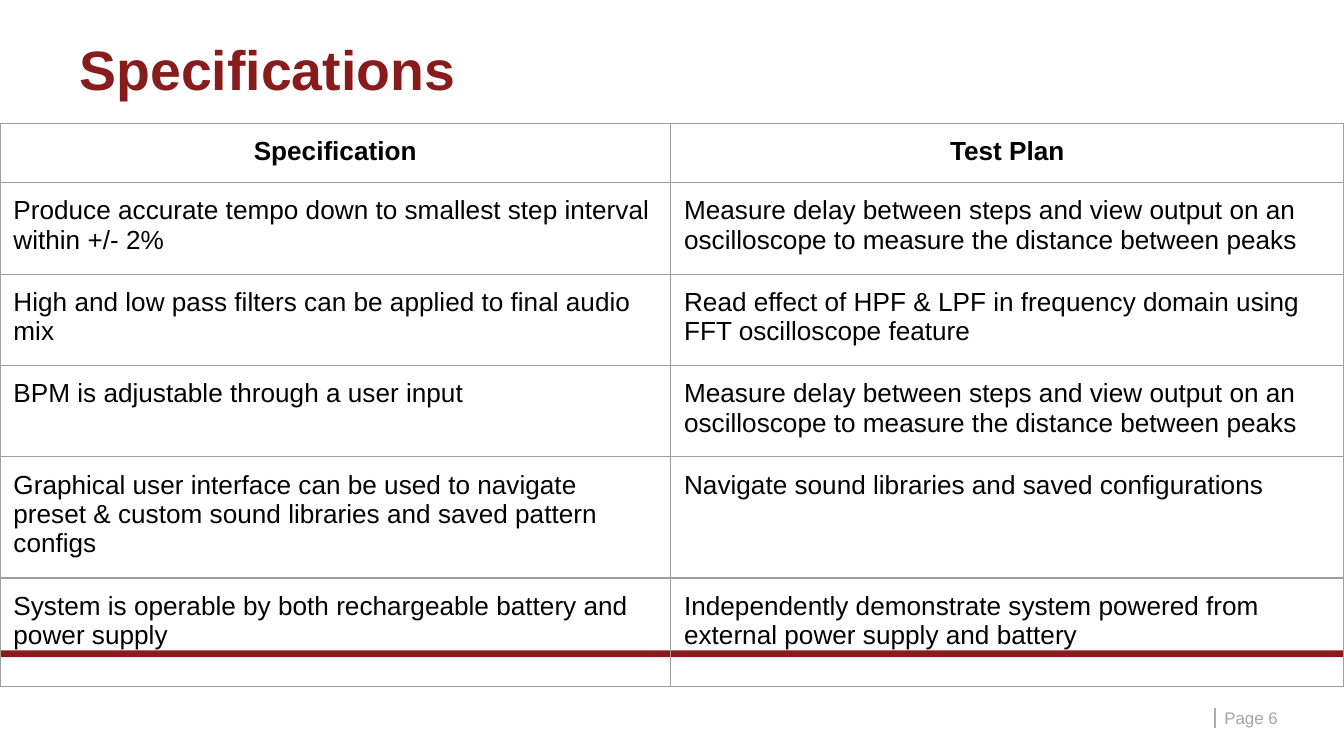
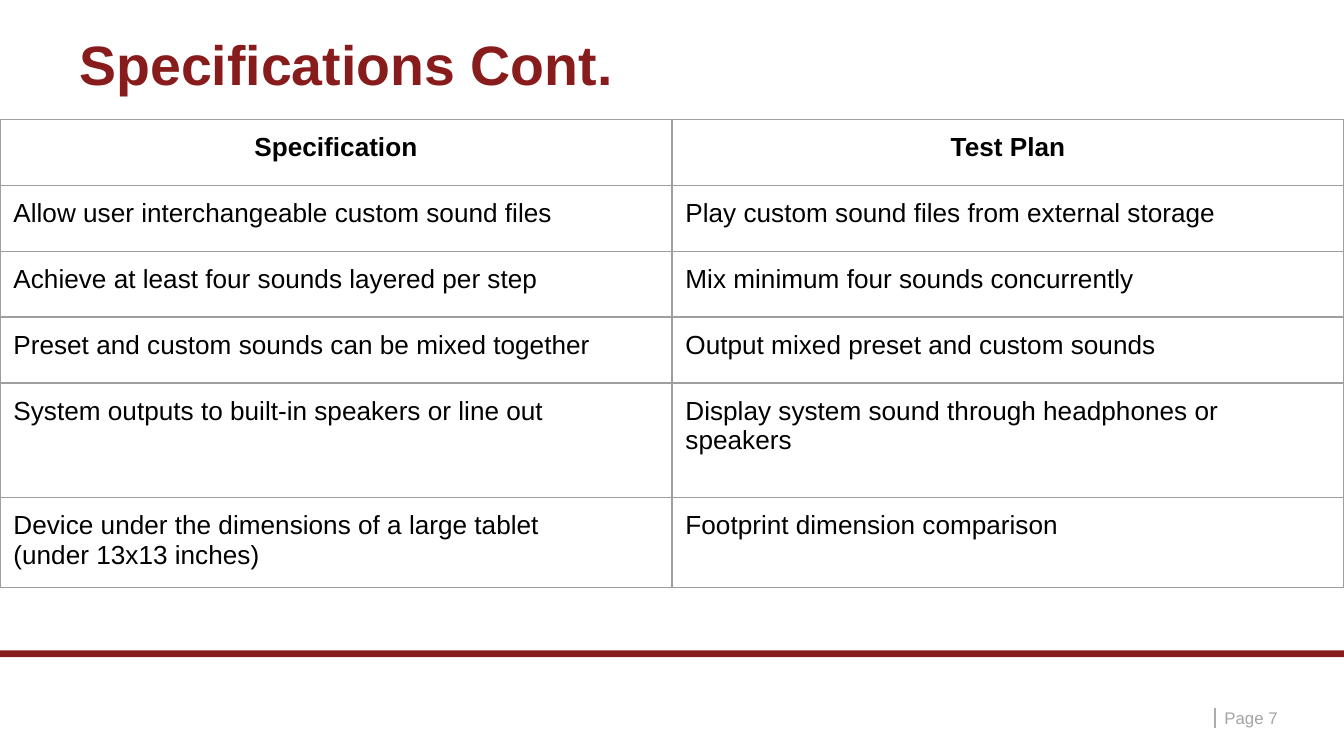
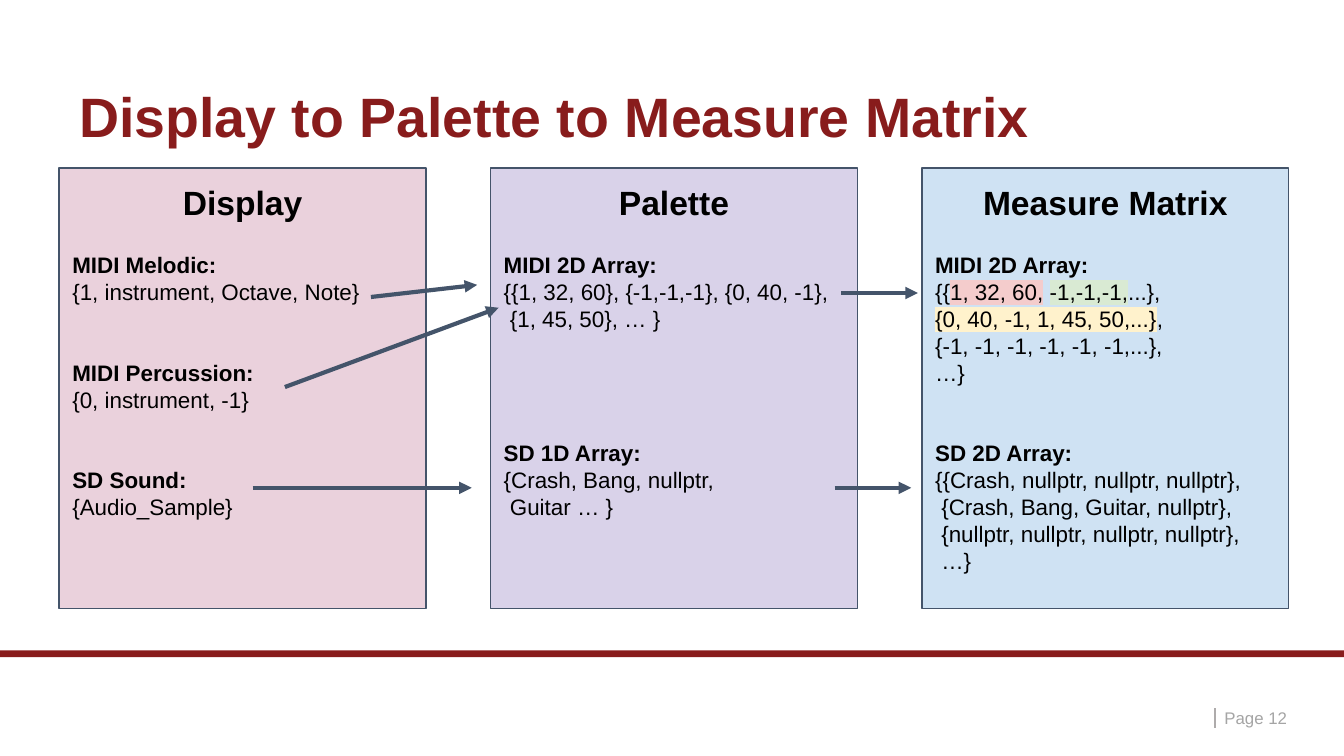
from dataclasses import dataclass

from lxml.etree import SubElement as Sub
from pptx import Presentation
from pptx.dml.color import RGBColor as Rgb
from pptx.enum.shapes import MSO_CONNECTOR as Link, MSO_SHAPE as Form
from pptx.enum.text import MSO_ANCHOR as Anchor, PP_ALIGN as Align
from pptx.oxml.ns import qn
from pptx.util import Emu, Inches, Pt


@dataclass(frozen=True)
class Theme:
    """Colours, type sizes and line widths."""
    font: str = "Arial"
    red: str = "881C1C"
    ink: str = "000000"
    rule: str = "AEABAB"
    page: str = "A5A5A5"
    grid: str = "9E9E9E"
    slate: str = "44546A"
    pink: str = "EAD1DC"
    mauve: str = "D9D2E9"
    sky: str = "CFE2F3"
    rose: str = "F4CCCC"
    mint: str = "D9EAD3"
    cream: str = "FFF2CC"
    title: float = 29.7
    head: float = 18
    cell: float = 14
    body: float = 12
    foot: float = 9
    lead: float = 14.4
    thin: float = 0.75
    mark: float = 1.25
    bold: float = 2.25


@dataclass(frozen=True)
class Box:
    """An area on a grid of 100 columns, each a tenth of an inch."""
    x: float
    y: float
    w: float
    h: float

    def inner(self, x, y, w, h):
        """Return a box placed from this box's corner."""
        return Box(self.x + x, self.y + y, w, h)

    def area(self):
        """Return left, top, width and height as lengths."""
        return [unit(v) for v in (self.x, self.y, self.w, self.h)]


T = Theme()
PAGE = Box(0, 0, 100, 56.25)
INSET = dict(zip(("margin_left", "margin_top", "margin_right", "margin_bottom"),
                 (Inches(0.1),) * 4))
SLIM = dict(INSET, margin_left=Inches(0.07), margin_right=Inches(0.07),
            margin_top=Inches(0.04), margin_bottom=Inches(0.04))


def unit(n):
    """Turn grid units into a length."""
    return Emu(round(n * Inches(0.1)))


def put(obj, fmt):
    """Set each attribute in a dict of format values."""
    for key, val in fmt.items():
        setattr(obj, key, val)


def write(par, runs, size, tone=T.ink, bold=False, **fmt):
    """Write runs of text, or of text with a highlight, in a paragraph."""
    put(par, fmt)
    for text, glow in [(runs, None)] if isinstance(runs, str) else runs:
        run = par.add_run()
        run.text = text
        put(run.font, {"name": T.font, "size": Pt(size), "bold": bold})
        run.font.color.rgb = Rgb.from_string(tone)
        if glow:
            props = run.font._element
            high = Sub(props, qn("a:highlight"))
            Sub(high, qn("a:srgbClr"), val=glow)
            props.find(qn("a:solidFill")).addnext(high)


def label(slide, box, text, size, tone, **fmt):
    """Add one line of text, centred in height."""
    frame = slide.shapes.add_textbox(*box.area()).text_frame
    put(frame, dict(SLIM, word_wrap=True, vertical_anchor=Anchor.MIDDLE))
    write(frame.paragraphs[0], text, size, tone, **fmt)


def block(slide, box, tone):
    """Add a plain filled rectangle."""
    shape = slide.shapes.add_shape(Form.RECTANGLE, *box.area())
    shape.shadow.inherit = False
    shape.fill.solid()
    shape.fill.fore_color.rgb = Rgb.from_string(tone)
    shape.line.fill.background()
    return shape


def stroke(line, tone, width):
    """Colour a line and set its width."""
    line.color.rgb = Rgb.from_string(tone)
    line.width = Pt(width)


def wire(slide, box, ends, tone, width, tip=False):
    """Draw a straight line inside a box, with an arrowhead if asked."""
    x, y, to_x, to_y = ends
    spots = box.x + x, box.y + y, box.x + to_x, box.y + to_y
    line = slide.shapes.add_connector(Link.STRAIGHT, *map(unit, spots))
    stroke(line.line, tone, width)
    props = line._element.spPr
    if tip:
        Sub(props.find(qn("a:ln")), qn("a:tailEnd"), type="triangle")
    Sub(props, qn("a:effectLst"))


def start(deck, title, top, number):
    """Add a slide with its band, title and page mark."""
    slide = deck.slides.add_slide(deck.slide_layouts[6])
    block(slide, PAGE.inner(0, 48.4, PAGE.w, 0.5), T.red)
    label(slide, PAGE.inner(5.2, top, 89.8, 5.6), title, T.title, T.red,
          bold=True, line_spacing=0.9)
    foot = PAGE.inner(90.4, 52.7, 7.9, 1.4)
    wire(slide, foot, (0, 0, 0, 1.5), T.rule, T.mark)
    label(slide, foot, f"Page {number}", T.foot, T.page)
    return slide


def edge(cell):
    """Draw the four borders of a cell and clear its fill."""
    props = cell._tc.get_or_add_tcPr()
    for side in "LRTB":
        line = Sub(props, qn(f"a:ln{side}"), w=str(Pt(T.thin)))
        Sub(Sub(line, qn("a:solidFill")), qn("a:srgbClr"), val=T.grid)
    cell.fill.background()


def plan(slide, box, cols, rows, pairs):
    """Add the table of specifications and test plans."""
    data = [("Specification", "Test Plan"), *pairs]
    table = slide.shapes.add_table(len(data), len(cols), *box.area()).table
    put(table, {"first_row": False, "horz_banding": False})
    for col, wide in zip(table.columns, cols):
        col.width = unit(wide)
    for r, (row, high) in enumerate(zip(table.rows, rows)):
        row.height = unit(high)
        for cell, text in zip(row.cells, data[r]):
            edge(cell)
            put(cell, dict(INSET, vertical_anchor=Anchor.TOP))
            for i, line in enumerate(text.split("\n")):
                frame = cell.text_frame
                par = frame.add_paragraph() if i else frame.paragraphs[0]
                write(par, line, T.cell, bold=r == 0,
                      alignment=Align.LEFT if r else Align.CENTER)


def panel(slide, box, tone, title, groups):
    """Add a stage: a title, then bold heads with lines of code."""
    shape = block(slide, box, tone)
    stroke(shape.line, T.slate, T.thin)
    frame = shape.text_frame
    put(frame, dict(INSET, word_wrap=True, vertical_anchor=Anchor.TOP))
    write(frame.paragraphs[0], title, T.head, bold=True, alignment=Align.CENTER)
    for gap, head, lines in groups:
        write(frame.add_paragraph(), head, T.body, bold=True,
              alignment=Align.LEFT, space_before=Pt(gap * T.lead))
        for line in lines:
            write(frame.add_paragraph(), line, T.body, alignment=Align.LEFT)


def flow(slide, box, stages, ties):
    """Set the stages side by side and join them with arrows."""
    wide, gap = 27.3, 4.8
    for i, stage in enumerate(stages):
        panel(slide, box.inner(i * (wide + gap), 0, wide, box.h), *stage)
    for ends in ties:
        wire(slide, box, ends, T.slate, T.bold, tip=True)


DELAY = ("Measure delay between steps and view output on an oscilloscope "
         "to measure the distance between peaks")
FIRST = [
    ("Produce accurate tempo down to smallest step interval within +/- 2%", DELAY),
    ("High and low pass filters can be applied to final audio mix",
     "Read effect of HPF & LPF in frequency domain using FFT oscilloscope feature"),
    ("BPM is adjustable through a user input", DELAY),
    ("Graphical user interface can be used to navigate preset & custom sound "
     "libraries and saved pattern configs",
     "Navigate sound libraries and saved configurations"),
    ("System is operable by both rechargeable battery and power supply",
     "Independently demonstrate system powered from external power supply and battery"),
]
NEXT = [
    ("Allow user interchangeable custom sound files",
     "Play custom sound files from external storage"),
    ("Achieve at least four sounds layered per step",
     "Mix minimum four sounds concurrently"),
    ("Preset and custom sounds can be mixed together",
     "Output mixed preset and custom sounds"),
    ("System outputs to built-in speakers or line out",
     "Display system sound through headphones or speakers"),
    ("Device under the dimensions of a large tablet\n(under 13x13 inches)",
     "Footprint dimension comparison"),
]
STAGES = [
    (T.pink, "Display", [
        (1.1, "MIDI Melodic:", ["{1, instrument, Octave, Note}"]),
        (2, "MIDI Percussion:", ["{0, instrument, -1}"]),
        (2, "SD Sound:", ["{Audio_Sample}"])]),
    (T.mauve, "Palette", [
        (1.1, "MIDI 2D Array:",
         ["{{1, 32, 60}, {-1,-1,-1}, {0, 40, -1},", " {1, 45, 50}, … }"]),
        (4, "SD 1D Array:", ["{Crash, Bang, nullptr,", " Guitar … }"])]),
    (T.sky, "Measure Matrix", [
        (1.1, "MIDI 2D Array:", [
            [("{{", None), ("1, 32, 60,", T.rose), (" ", None),
             ("-1,-1,-1,", T.mint), ("...},", None)],
            [("{0, 40, -1, 1, 45, 50,...}", T.cream), (",", None)],
            "{-1, -1, -1, -1, -1, -1,...},", "…}"]),
        (2, "SD 2D Array:", [
            "{{Crash, nullptr, nullptr, nullptr},",
            " {Crash, Bang, Guitar, nullptr},",
            " {nullptr, nullptr, nullptr, nullptr},", " …}"])]),
]
TIES = [(23.2, 9.6, 31.1, 8.7), (16.8, 16.3, 32.7, 10.4), (14.4, 23.8, 30.7, 23.8),
        (58.2, 9.3, 63.9, 9.3), (57.7, 23.8, 63.4, 23.8)]


def main():
    """Build the three slides and save them."""
    deck = Presentation()
    put(deck, {"slide_width": unit(PAGE.w), "slide_height": unit(PAGE.h)})
    plan(start(deck, "Specifications", 2.6, 6), PAGE.inner(0, 9.2, PAGE.w, 41.4),
         (49.9, 50.1), (4.4, 6.8, 6.8, 6.8, 8.55, 8.1), FIRST)
    plan(start(deck, "Specifications Cont.", 2.2, 7), PAGE.inner(0, 8.9, PAGE.w, 34.5),
         (50, 50), (4.9, 4.9, 4.9, 4.9, 8.55, 6.4), NEXT)
    flow(start(deck, "Display to Palette to Measure Matrix", 6.1, 12),
         PAGE.inner(4.4, 12.5, 91.4, 32.8), STAGES, TIES)
    deck.save("out.pptx")


if __name__ == "__main__":
    main()
